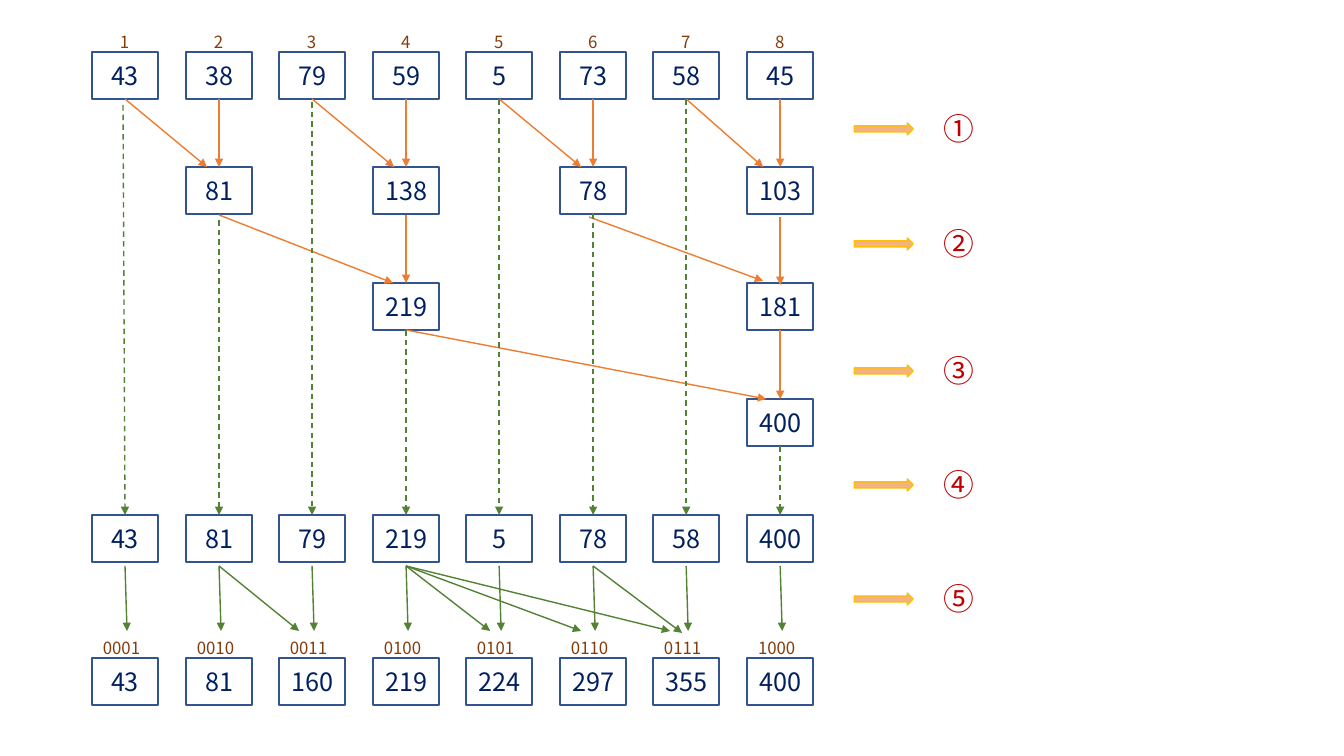
from dataclasses import dataclass

from lxml import etree
from pptx import Presentation
from pptx import util as u
from pptx.dml.color import RGBColor
from pptx.enum import dml, shapes, text
from pptx.oxml.ns import qn


@dataclass(frozen=True)
class Theme:
    font: str = "Noto Sans CJK SC"
    box_line: str = "325491"
    value: str = "002060"
    index: str = "843C0B"
    stage: str = "C00000"
    merge: str = "ED7D31"
    carry: str = "548235"
    block: str = "F4B183"
    block_line: str = "FFC000"
    value_size: int = 18
    index_size: int = 12
    stage_size: int = 22
    line_width: int = 1


@dataclass(frozen=True)
class Row:
    top: int
    values: dict[int, int]  # column number -> value


@dataclass(frozen=True)
class Link:
    src: int  # column numbers
    dst: int
    y0: int
    y1: int
    dx0: int = 0  # shifts from the column centres
    dx1: int = 0


T = Theme()
COLS = range(1, 9)
BOX_W, BOX_H = 66, 47


def px(n: float) -> u.Emu:
    return u.Emu(round(n * 914400 / 100.8))


def centre(col: int) -> int:
    return round(125 + 93.57 * (col - 1))


def add_run(tf, words: str, size: int, color: str, align=text.PP_ALIGN.CENTER) -> None:
    p = tf.paragraphs[0]
    p.alignment = align
    r = p.add_run()
    r.text = words
    r.font.size = u.Pt(size)
    r.font.name = T.font
    r.font.color.rgb = RGBColor.from_string(color)
    etree.SubElement(r.font._element, qn("a:ea"), typeface=T.font)


def add_preset(s, kind, x: int, y: int, w: int, h: int, line: str, fill: str = ""):
    sp = s.shapes.add_shape(kind, px(x), px(y), px(w), px(h))
    sp.shadow.inherit = False
    if fill:
        sp.fill.solid()
        sp.fill.fore_color.rgb = RGBColor.from_string(fill)
    else:
        sp.fill.background()
    sp.line.color.rgb = RGBColor.from_string(line)
    sp.line.width = u.Pt(T.line_width)
    return sp


def add_box(s, col: int, top: int, value: int) -> None:
    sp = add_preset(s, shapes.MSO_SHAPE.RECTANGLE, centre(col) - BOX_W // 2, top,
                    BOX_W, BOX_H, T.box_line)
    tf = sp.text_frame
    tf.vertical_anchor = text.MSO_ANCHOR.MIDDLE
    add_run(tf, str(value), T.value_size, T.value)


def add_label(s, x: int, y: int, w: int, h: int, wrap: bool):
    tf = s.shapes.add_textbox(px(x), px(y), px(w), px(h)).text_frame
    tf.word_wrap = wrap
    return tf


def add_link(s, link: Link, color: str, dashed: bool = False) -> None:
    cx = s.shapes.add_connector(
        shapes.MSO_CONNECTOR.STRAIGHT,
        px(centre(link.src) + link.dx0), px(link.y0),
        px(centre(link.dst) + link.dx1), px(link.y1))
    cx.line.color.rgb = RGBColor.from_string(color)
    cx.line.width = u.Pt(T.line_width)
    if dashed:
        cx.line.dash_style = dml.MSO_LINE.DASH
    props = cx._element.spPr
    etree.SubElement(props.find(qn("a:ln")), qn("a:tailEnd"), type="triangle")
    etree.SubElement(props, qn("a:effectLst"))


ROWS = [
    Row(52, dict(zip(COLS, (43, 38, 79, 59, 5, 73, 58, 45)))),
    Row(167, {2: 81, 4: 138, 6: 78, 8: 103}),
    Row(283, {4: 219, 8: 181}),
    Row(399, {8: 400}),
    Row(515, dict(zip(COLS, (43, 81, 79, 219, 5, 78, 58, 400)))),
    Row(658, dict(zip(COLS, (43, 81, 160, 219, 224, 297, 355, 400)))),
]

# Pairwise sums, level by level
MERGES = [
    *(Link(c - 1, c, 99, 167, 0, -17 if c == 8 else -12) for c in (2, 4, 6, 8)),
    *(Link(c, c, 99, 167) for c in (2, 4, 6, 8)),
    Link(2, 4, 215, 283, 0, -13), Link(4, 4, 215, 283),
    Link(6, 8, 217, 281, -4, -17), Link(8, 8, 217, 285),
    Link(4, 8, 330, 399, 0, -14), Link(8, 8, 330, 399),
]

# Values carried down unchanged
CARRY_STARTS = (105, 220, 102, 330, 99, 213, 99, 446)
CARRIES = [Link(c, c, y, 515, -2 if c == 1 else 0) for c, y in zip(COLS, CARRY_STARTS)]

# Prefix sums in the last row
PREFIXES = [
    *(Link(c, c, 566, 631, 0, 2) for c in COLS),
    Link(2, 3, 566, 631, 0, -13),
    Link(4, 5, 566, 631, 0, -9),
    Link(4, 6, 566, 631, 0, -12),
    Link(4, 7, 566, 631, 0, -16),
    Link(6, 7, 566, 633, 0, -4),
]

STAGES = {"①": 123, "②": 238, "③": 365, "④": 479, "⑤": 593}

prs = Presentation()
prs.slide_width, prs.slide_height = u.Inches(13.33), u.Inches(7.5)
s = prs.slides.add_slide(prs.slide_layouts[6])

# Value boxes
for row in ROWS:
    for col, value in row.values.items():
        add_box(s, col, row.top, value)

# Arrows between rows
for link in MERGES:
    add_link(s, link, T.merge)
for link in CARRIES:
    add_link(s, link, T.carry, dashed=True)
for link in PREFIXES:
    add_link(s, link, T.carry)

# Decimal and binary indices
for col in COLS:
    tf = add_label(s, centre(col) - 15, 27, 30, 30, wrap=False)
    tf.auto_size = text.MSO_AUTO_SIZE.SHAPE_TO_FIT_TEXT
    add_run(tf, str(col), T.index_size, T.index, text.PP_ALIGN.LEFT)
    tf = add_label(s, centre(col) - 41, 633, 75, 30, wrap=True)
    tf.auto_size = text.MSO_AUTO_SIZE.SHAPE_TO_FIT_TEXT
    add_run(tf, f"{col:04b}", T.index_size, T.index)

# Stage markers
for mark, top in STAGES.items():
    add_preset(s, shapes.MSO_SHAPE.RIGHT_ARROW, 854, top, 59, 12, T.block_line, T.block)
    tf = add_label(s, 933, top - 18, 51, 47, wrap=False)
    tf.vertical_anchor = text.MSO_ANCHOR.MIDDLE
    add_run(tf, mark, T.stage_size, T.stage)

prs.save("out.pptx")
